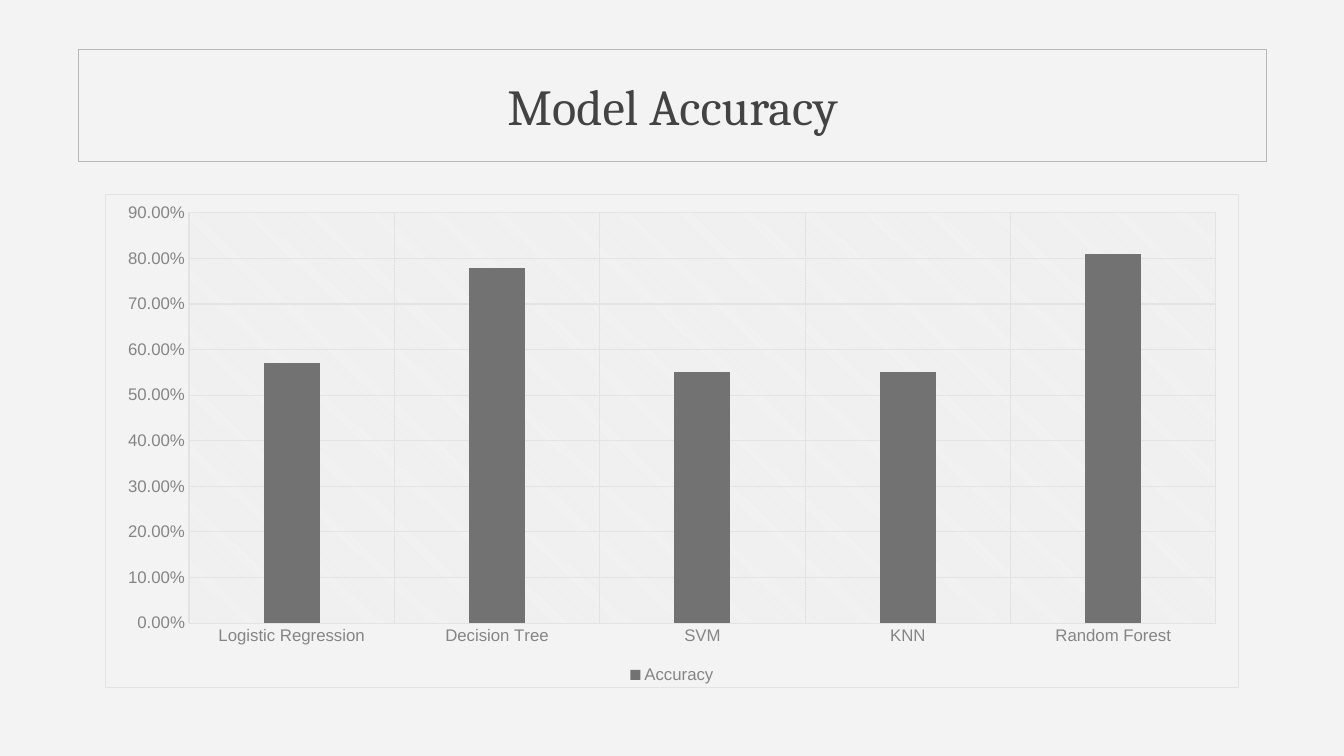
from pptx import Presentation
from pptx.chart.data import CategoryChartData
from pptx.dml.color import RGBColor
from pptx.enum.chart import XL_CHART_TYPE, XL_LEGEND_POSITION, XL_TICK_MARK
from pptx.enum.shapes import MSO_SHAPE
from pptx.enum.text import MSO_ANCHOR, PP_ALIGN
from pptx.oxml import parse_xml
from pptx.oxml.ns import nsdecls
from pptx.util import Inches, Pt

COLORS = {
    "background": "F3F3F3",
    "title": "434343",
    "title_border": "B7B7B7",
    "label": "858585",
    "grid": "E3E3E3",
    "bar": "727272",
}
ACCURACY = {
    "Logistic Regression": 0.57,
    "Decision Tree": 0.78,
    "SVM": 0.55,
    "KNN": 0.55,
    "Random Forest": 0.81,
}


def rgb(name):
    return RGBColor.from_string(COLORS[name])


def style_line(line, color):
    line.color.rgb = rgb(color)
    line.width = Pt(0.75)


def style_font(font, face, size, color):
    font.name = face
    font.size = Pt(size)
    font.bold = False
    font.color.rgb = rgb(color)


def solid_fill(color):
    return f'<a:solidFill><a:srgbClr val="{COLORS[color]}"/></a:solidFill>'


def area_format(content):
    return parse_xml(f'<c:spPr {nsdecls("c", "a")}>{content}</c:spPr>')


def add_title(slide, text):
    s = slide.shapes.add_shape(MSO_SHAPE.RECTANGLE, Inches(0.78), Inches(0.49),
                               Inches(11.78), Inches(1.11))
    s.shadow.inherit = False
    s.fill.solid()
    s.fill.fore_color.rgb = rgb("background")
    style_line(s.line, "title_border")
    tf = s.text_frame
    tf.text = text
    tf.word_wrap = True
    tf.vertical_anchor = MSO_ANCHOR.MIDDLE
    tf.margin_left = tf.margin_right = Inches(0.1)
    tf.margin_top = tf.margin_bottom = Inches(0.1)
    p = tf.paragraphs[0]
    p.alignment = PP_ALIGN.CENTER
    style_font(p.runs[0].font, "Cambria", 36, "title")


def style_axis(axis):
    axis.major_tick_mark = axis.minor_tick_mark = XL_TICK_MARK.NONE
    axis.has_major_gridlines = True
    style_line(axis.major_gridlines.format.line, "grid")
    style_font(axis.tick_labels.font, "Arial", 12, "label")


def style_backgrounds(chart):
    border = f'<a:ln w="{Pt(0.75)}">{solid_fill("grid")}</a:ln>'
    space = chart.element
    space.chart.addnext(area_format(solid_fill("background") + border))
    # Diagonal hatching behind the bars
    space.chart.plotArea.append(area_format(
        '<a:pattFill prst="ltDnDiag">'
        f'<a:fgClr><a:srgbClr val="{COLORS["grid"]}"/></a:fgClr>'
        f'<a:bgClr><a:srgbClr val="{COLORS["background"]}"/></a:bgClr>'
        '</a:pattFill><a:ln><a:noFill/></a:ln>'))


def add_accuracy_chart(slide):
    data = CategoryChartData(number_format="0.00%")
    data.categories = list(ACCURACY)
    data.add_series("Accuracy", list(ACCURACY.values()))
    chart = slide.shapes.add_chart(
        XL_CHART_TYPE.COLUMN_CLUSTERED, Inches(1.04), Inches(1.92),
        Inches(11.25), Inches(4.91), data).chart
    chart.has_title = False
    style_font(chart.font, "Arial", 10, "title")

    # Bars
    plot = chart.plots[0]
    plot.vary_by_categories = False
    plot.gap_width = 267
    plot.overlap = -43
    fill = plot.series[0].format.fill
    fill.solid()
    fill.fore_color.rgb = rgb("bar")

    # Axes
    style_axis(chart.category_axis)
    style_line(chart.category_axis.format.line, "grid")
    value_axis = chart.value_axis
    style_axis(value_axis)
    value_axis.format.line.fill.background()
    value_axis.minimum_scale = 0
    value_axis.maximum_scale = 0.9
    value_axis.major_unit = 0.1
    value_axis.tick_labels.number_format = "0.00%"
    value_axis.tick_labels.number_format_is_linked = False

    # Legend
    chart.has_legend = True
    chart.legend.position = XL_LEGEND_POSITION.BOTTOM
    chart.legend.include_in_layout = False
    style_font(chart.legend.font, "Arial", 12, "label")

    style_backgrounds(chart)


def main():
    prs = Presentation()
    prs.slide_width, prs.slide_height = Inches(13.33), Inches(7.5)
    slide = prs.slides.add_slide(prs.slide_layouts[6])
    slide.background.fill.solid()
    slide.background.fill.fore_color.rgb = rgb("background")
    add_title(slide, "Model Accuracy")
    add_accuracy_chart(slide)
    prs.save("out.pptx")


if __name__ == "__main__":
    main()
